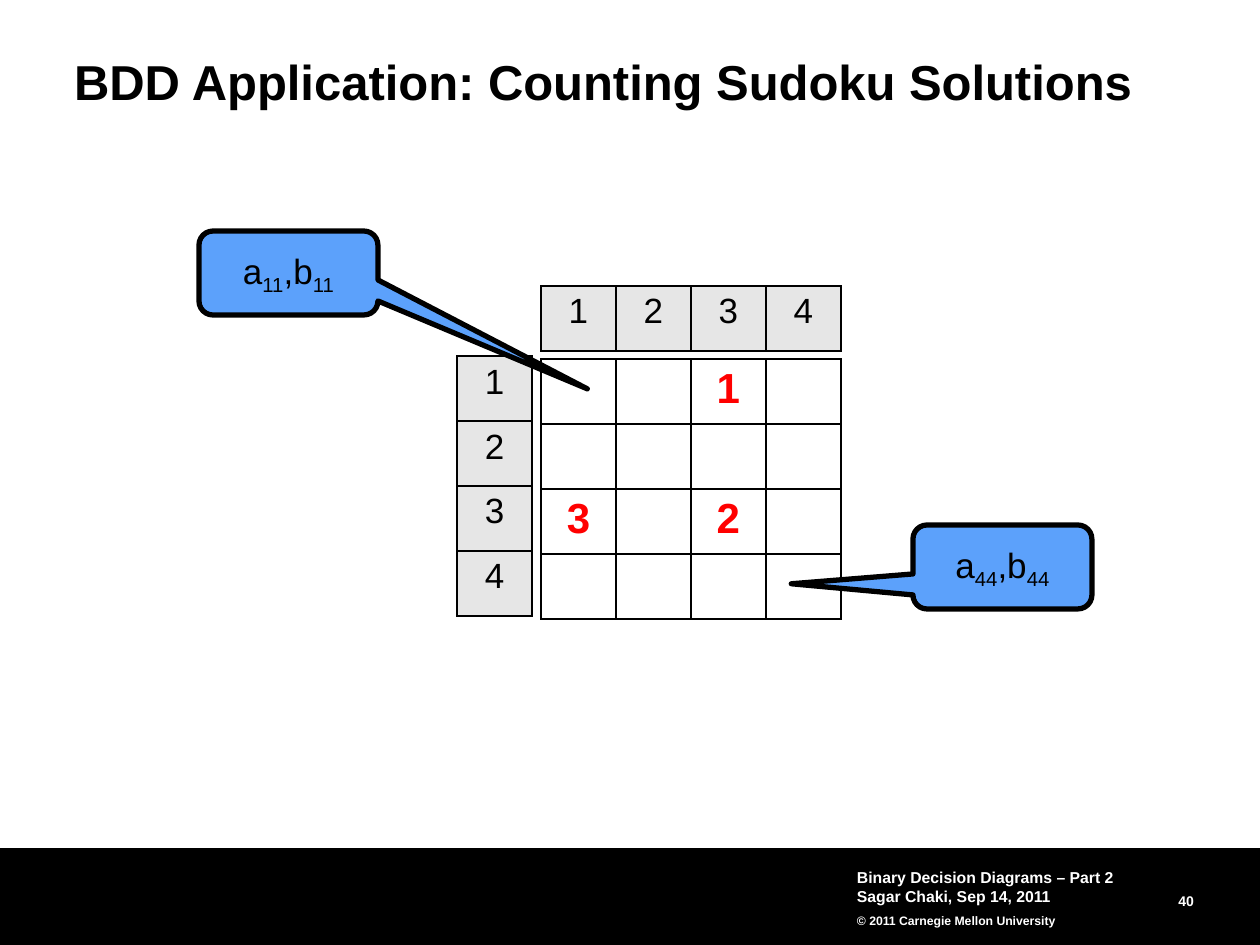
from dataclasses import dataclass

from lxml import etree
from pptx import Presentation
from pptx.dml.color import RGBColor
from pptx.enum.shapes import MSO_SHAPE
from pptx.enum.text import MSO_ANCHOR, PP_ALIGN
from pptx.oxml.ns import qn
from pptx.util import Emu, Pt

RECTANGLE = MSO_SHAPE.RECTANGLE
CALLOUT = MSO_SHAPE.ROUNDED_RECTANGULAR_CALLOUT
TOP = MSO_ANCHOR.TOP
MIDDLE = MSO_ANCHOR.MIDDLE
LEFT = PP_ALIGN.LEFT
CENTER = PP_ALIGN.CENTER
RIGHT = PP_ALIGN.RIGHT

PIXELS_PER_INCH = 126
BLACK = "000000"
WHITE = "FFFFFF"
RED = "FF0000"
GREY = "E6E6E6"
BLUE = "5CA1FB"
COLUMN_WIDTH = 75
ROW_HEIGHT = 65

TITLE_FORMAT = {"size": Pt(28), "bold": True, "color": BLACK}
NUMBER_FORMAT = {"size": Pt(8), "bold": True, "color": WHITE}
FOOTER_FORMAT = {"size": Pt(9), "bold": True, "color": WHITE}
COPYRIGHT_FORMAT = {"size": Pt(7), "bold": True, "color": WHITE}
CLUE_FORMAT = {"size": Pt(24), "bold": True, "color": RED}
LABEL_FORMAT = {"size": Pt(20), "bold": False, "color": BLACK}


@dataclass
class Area:
    left: int
    top: int
    width: int
    height: int


@dataclass
class Line:
    text: str
    format: dict
    spacing: object = 1.0


@dataclass
class Grid:
    left: int
    top: int
    rows: list[str]
    format: dict
    fill: str | None


@dataclass
class Callout:
    area: Area
    subscript: str
    tail: tuple[float, float]


GRIDS = [
    Grid(541, 359, ["  1 ", "    ", "3 2 ", "    "], CLUE_FORMAT, None),
    Grid(541, 286, ["1234"], LABEL_FORMAT, GREY),
    Grid(457, 356, list("1234"), LABEL_FORMAT, GREY),
]
CALLOUTS = [
    Callout(Area(199, 231, 179, 84), "11", (1.67, 1.38)),
    Callout(Area(913, 525, 179, 84), "44", (-1.18, 0.2)),
]


def px(value: int) -> Emu:
    return Emu(round(value * 914400 / PIXELS_PER_INCH))


def hex_color(value: str) -> RGBColor:
    return RGBColor.from_string(value)


def place(area: Area) -> list[Emu]:
    return [px(value) for value in (area.left, area.top, area.width, area.height)]


def add_span(para, text: str, format_values: dict) -> object:
    span = para.add_run()
    span.text = text
    span.font.name = "Arial"
    for name, value in format_values.items():
        if name == "color":
            span.font.color.rgb = hex_color(value)
        else:
            setattr(span.font, name, value)
    return span


def set_frame(frame, anchor, inset: int = 0, wrap: bool = True) -> None:
    values = {"vertical_anchor": anchor, "word_wrap": wrap}
    for side in ("left", "top", "right", "bottom"):
        values[f"margin_{side}"] = px(inset)
    for name, value in values.items():
        setattr(frame, name, value)


def write_lines(frame, lines: list[Line], alignment=LEFT) -> None:
    for index, line in enumerate(lines):
        para = frame.add_paragraph() if index else frame.paragraphs[0]
        para.alignment = alignment
        para.line_spacing = line.spacing
        add_span(para, line.text, line.format)


def add_text(page, area: Area, lines: list[Line], alignment=LEFT, inset: int = 0) -> None:
    box = page.shapes.add_textbox(*place(area))
    set_frame(box.text_frame, MIDDLE, inset)
    write_lines(box.text_frame, lines, alignment)


def add_borders(cell) -> None:
    properties = cell._tc.get_or_add_tcPr()
    for side in ("lnL", "lnR", "lnT", "lnB"):
        border = etree.SubElement(properties, qn(f"a:{side}"), w=str(Pt(1)))
        fill = etree.SubElement(border, qn("a:solidFill"))
        etree.SubElement(fill, qn("a:srgbClr"), val=BLACK)


def add_grid(page, grid: Grid) -> None:
    row_count, column_count = len(grid.rows), len(grid.rows[0])
    area = Area(grid.left, grid.top, column_count * COLUMN_WIDTH, row_count * ROW_HEIGHT)
    table = page.shapes.add_table(row_count, column_count, *place(area)).table
    table.first_row = False
    table.horz_banding = False
    for row_index, row in enumerate(grid.rows):
        for column_index, digit in enumerate(row):
            cell = table.cell(row_index, column_index)
            add_borders(cell)
            if grid.fill:
                cell.fill.solid()
                cell.fill.fore_color.rgb = hex_color(grid.fill)
            else:
                cell.fill.background()
            if digit.strip():
                write_lines(cell.text_frame, [Line(digit, grid.format)], CENTER)


def add_callout(page, callout: Callout) -> None:
    shape = page.shapes.add_shape(CALLOUT, *place(callout.area))
    shape.shadow.inherit = False
    shape.adjustments[0], shape.adjustments[1] = callout.tail
    shape.fill.solid()
    shape.fill.fore_color.rgb = hex_color(BLUE)
    shape.line.color.rgb = hex_color(BLACK)
    shape.line.width = Pt(3)
    set_frame(shape.text_frame, MIDDLE, wrap=False)
    para = shape.text_frame.paragraphs[0]
    para.alignment = CENTER
    for letter in ("a", ",b"):
        add_span(para, letter, LABEL_FORMAT)
        span = add_span(para, callout.subscript, LABEL_FORMAT)
        span._r.get_or_add_rPr().set("baseline", "-25000")


def add_footer(page) -> None:
    band = page.shapes.add_shape(RECTANGLE, *place(Area(0, 848, 1260, 97)))
    band.shadow.inherit = False
    band.fill.solid()
    band.fill.fore_color.rgb = hex_color(BLACK)
    band.line.fill.background()
    add_text(page, Area(1078, 886, 116, 23), [Line("40", NUMBER_FORMAT, Pt(13))], RIGHT)
    footer_lines = [
        Line("Binary Decision Diagrams – Part 2", FOOTER_FORMAT),
        Line("Sagar Chaki, Sep 14, 2011", FOOTER_FORMAT),
        Line("© 2011 Carnegie Mellon University", COPYRIGHT_FORMAT, 1.5),
    ]
    add_text(page, Area(851, 861, 315, 73), footer_lines, inset=6)


def add_title(page) -> None:
    title = page.shapes.title
    title.left, title.top, title.width, title.height = place(Area(74, 58, 1124, 53))
    set_frame(title.text_frame, TOP)
    write_lines(title.text_frame, [Line("BDD Application: Counting Sudoku Solutions", TITLE_FORMAT, 0.9)])


def main() -> None:
    deck = Presentation()
    deck.slide_width, deck.slide_height = px(1260), px(945)
    page = deck.slides.add_slide(deck.slide_layouts[5])
    add_footer(page)
    add_title(page)
    for grid in GRIDS:
        add_grid(page, grid)
    for callout in CALLOUTS:
        add_callout(page, callout)
    deck.save("out.pptx")


if __name__ == "__main__":
    main()
